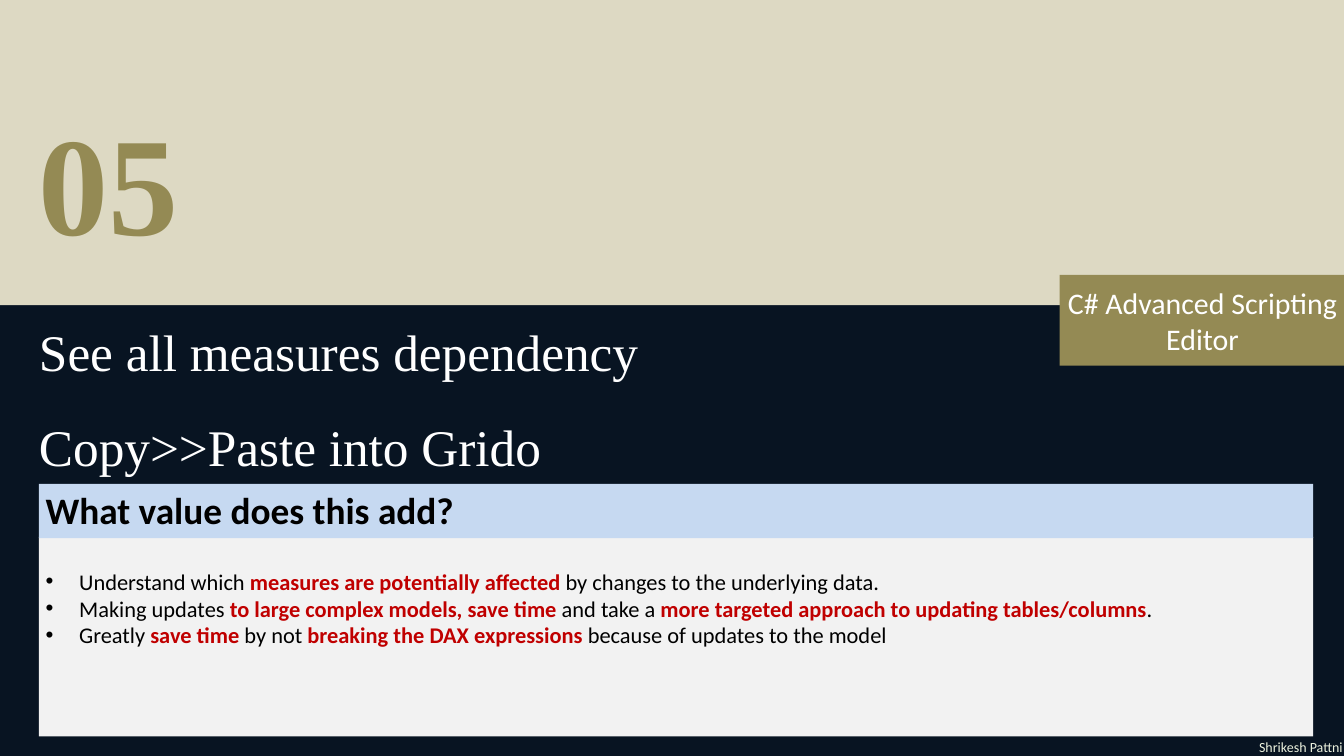
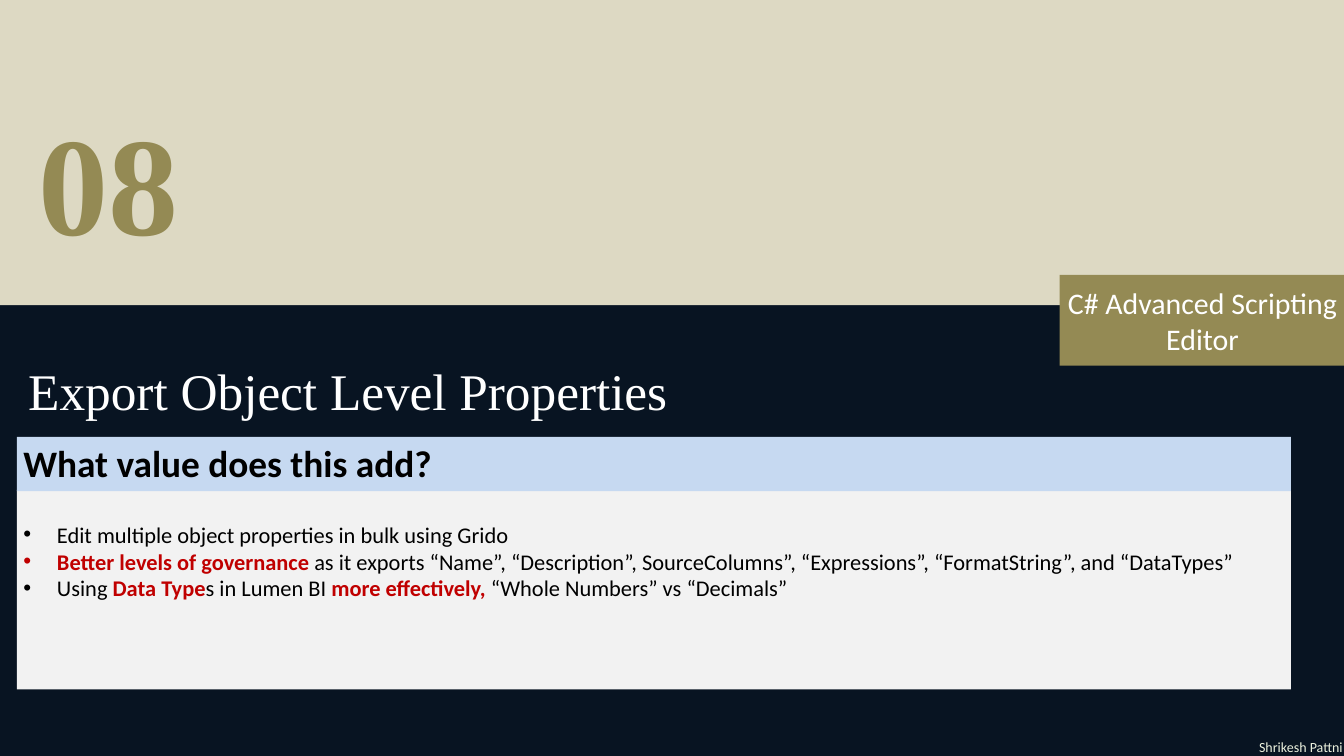
import pptx
import pptx.dml.color
import pptx.enum.shapes
import pptx.enum.text
import pptx.util
from lxml import etree
from pptx.util import Inches, Pt

NIGHT, SAND, OLIVE = "081422", "DDD9C3", "948A54"
SKY, PALE, MINT = "C6D9F1", "F2F2F2", "EBF1DE"
WHITE, BLACK, RED = "FFFFFF", "000000", "C00000"
SERIF, SANS = "Times New Roman", "Calibri"
LEFT, CENTER, RIGHT = (pptx.enum.text.PP_ALIGN.LEFT, pptx.enum.text.PP_ALIGN.CENTER,
                       pptx.enum.text.PP_ALIGN.RIGHT)
TOP, MIDDLE = pptx.enum.text.MSO_ANCHOR.TOP, pptx.enum.text.MSO_ANCHOR.MIDDLE

# Words between asterisks are emphasised
sections = [
    {"number": "05",
     "title": ["See all measures dependency", "Copy>>Paste into Grido"],
     "title_place": (0.58, 4.26, 16.75, 2.78),
     "panel": (0.58, 7.2),
     "values": [
         "Understand which *measures are potentially affected *by changes to the underlying data.",
         "Making updates *to large complex models, save time *and take a "
         "*more targeted approach to updating tables/columns*.",
         "Greatly *save time *by not *breaking the DAX expressions *"
         "because of updates to the model"]},
    {"number": "08",
     "title": ["Export Object Level Properties"],
     "title_place": (0.42, 4.85, 16.75, 1.27),
     "panel": (0.25, 6.5),
     "values": [
         "Edit multiple object properties in bulk using Grido",
         "*Better levels of governance *as it exports “Name”, “Description”, SourceColumns”, "
         "“Expressions”, “FormatString”, and “DataTypes”",
         "Using *Data Type*s in Lumen BI *more effectively, *“Whole Numbers” vs “Decimals”"]},
]


def color(hex_string):
    return pptx.dml.color.RGBColor.from_string(hex_string)


def add_box(page, place, lines=(), size=24, ink=BLACK, fill=None, face=SANS, bold=False,
            align=LEFT, anchor=TOP, bullets=False):
    """Add a filled rectangle, or a text box when there is no fill."""
    place = [Inches(length) for length in place]
    if fill:
        box = page.shapes.add_shape(pptx.enum.shapes.MSO_SHAPE.RECTANGLE, *place)
        box.shadow.inherit = False
        box.fill.solid()
        box.fill.fore_color.rgb = color(fill)
        box.line.fill.background()
    else:
        box = page.shapes.add_textbox(*place)
        box.text_frame.auto_size = pptx.enum.text.MSO_AUTO_SIZE.SHAPE_TO_FIT_TEXT
    frame = box.text_frame
    frame.word_wrap = True
    frame.vertical_anchor = anchor
    if face == SERIF:
        frame.margin_left = frame.margin_top = frame.margin_right = frame.margin_bottom = 0
    for index, line in enumerate(lines):
        para = frame.paragraphs[0] if index == 0 else frame.add_paragraph()
        para.alignment = align
        if face == SERIF:
            para.line_spacing = Pt(102)
        if bullets:
            properties = para._p.get_or_add_pPr()
            properties.set("marL", str(Inches(0.5)))
            properties.set("indent", str(-Inches(0.5)))
            for tag, name, value in (("buFont", "typeface", "Arial"), ("buChar", "char", "•")):
                etree.SubElement(properties, pptx.oxml.ns.qn("a:" + tag)).set(name, value)
        para.font.size = Pt(size)
        para.font.name = face
        for part, words in enumerate(line.split("*")):
            if words:
                span = para.add_run()
                span.text = words
                span.font.bold = bold or part % 2 == 1
                span.font.color.rgb = color(RED if part % 2 else ink)
    return box


deck = pptx.Presentation()
deck.slide_width, deck.slide_height = Inches(20), Inches(11.25)

for section in sections:
    page = deck.slides.add_slide(deck.slide_layouts[6])
    page.background.fill.solid()
    page.background.fill.fore_color.rgb = color(NIGHT)

    # Top band, section number, author and topic tag
    add_box(page, (0, -0.04, 20, 4.58), fill=SAND)
    add_box(page, (0.58, 2.5, 15, 1.62), [section["number"]], 150, OLIVE, face=SERIF, bold=True)
    add_box(page, (18.04, 10.94, 2.04, 0.35), ["Shrikesh Pattni"], 15, MINT, align=RIGHT)
    add_box(page, (15.77, 4.09, 4.25, 1.35), ["C# Advanced Scripting Editor"], 32, WHITE,
            fill=OLIVE, align=CENTER, anchor=MIDDLE)

    # Title
    add_box(page, section["title_place"], section["title"], 55, WHITE, face=SERIF)

    # Value panel with its heading
    left, top = section["panel"]
    panel = add_box(page, (left, top + 0.79, 18.96, 2.97), section["values"], fill=PALE,
                    bullets=True)
    panel.text_frame.margin_top = Inches(0.46)
    add_box(page, (left, top, 18.96, 0.81), ["What value does this add?"], 40, fill=SKY, bold=True)

deck.save("out.pptx")
